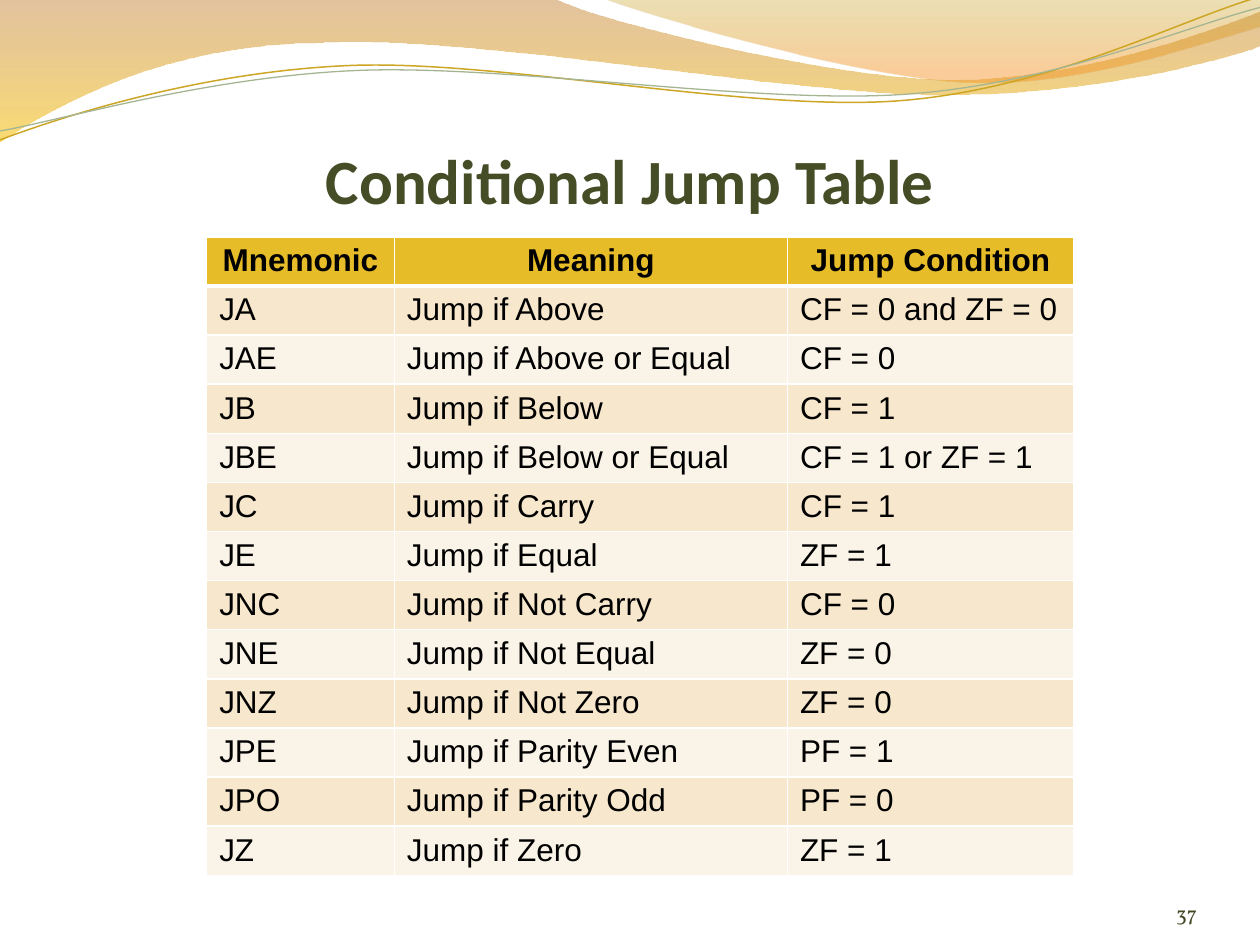
import math

from lxml import etree
from pptx import Presentation
from pptx.dml.color import RGBColor
from pptx.enum import text
from pptx.oxml import ns
from pptx.util import Inches, Pt

OLIVE = RGBColor(0x44, 0x4D, 0x26)
MOSS = RGBColor(0x41, 0x4A, 0x24)
BLACK = RGBColor(0, 0, 0)
GOLD = RGBColor(0xE7, 0xBC, 0x29)
SAND = RGBColor(0xF6, 0xE7, 0xCD)
CREAM = RGBColor(0xFA, 0xF3, 0xE8)
RUST = RGBColor(0xC0, 0x7A, 0x28)
AMBER = RGBColor(0xF7, 0xBF, 0x00)
OCHRE = RGBColor(0xC0, 0x97, 0x09)
ORANGE = RGBColor(0xF5, 0x93, 0x20)
BRASS = RGBColor(0xCC, 0xA6, 0x24)
SAGE = RGBColor(0xA5, 0xB5, 0x92)

ALIGN = text.PP_ALIGN
TILT = -2.7

# Each outline is a start point, then points (2 numbers) or Bezier curves (6).
BAND = [(0, -0.01), (4.4, -0.01), (4.76, 0.17, 6.64, 0.63, 7.58, 0.63),
        (8.53, 0.63, 9.58, 0.26, 10, 0.09), (10.01, 0.36),
        (9.83, 0.44, 8.7, 0.76, 7.46, 0.75),
        (6.22, 0.75, 3.82, 0.28, 2.57, 0.34),
        (1.29, 0.35, 0.46, 0.83, -0.01, 1.13), (0, -0.01)]
SWEEP = [(4.79, -0.01), (5.09, 0.11, 6.82, 0.62, 7.69, 0.65),
         (8.56, 0.69, 9.61, 0.32, 10, 0.21), (10, 0), (4.79, -0.01)]
UPPER = [(0, 1.11), (0.48, 0.93, 1.58, 0.57, 2.77, 0.52),
         (3.95, 0.47, 5.93, 0.89, 7.13, 0.8),
         (8.33, 0.71, 9.38, 0.15, 9.98, -0.02)]
LOWER = [(0, 1.04), (0.47, 0.96, 1.64, 0.61, 2.83, 0.56),
         (4.03, 0.51, 5.97, 0.83, 7.17, 0.75),
         (8.36, 0.67, 9.41, 0.21, 10, 0.06)]

HEAD = ("Mnemonic", "Meaning", "Jump Condition")
JUMPS = [
    ("JA", "Jump if Above", "CF = 0 and ZF = 0"),
    ("JAE", "Jump if Above or Equal", "CF = 0"),
    ("JB", "Jump if Below", "CF = 1"),
    ("JBE", "Jump if Below or Equal", "CF = 1 or ZF = 1"),
    ("JC", "Jump if Carry", "CF = 1"),
    ("JE", "Jump if Equal", "ZF = 1"),
    ("JNC", "Jump if Not Carry", "CF = 0"),
    ("JNE", "Jump if Not Equal", "ZF = 0"),
    ("JNZ", "Jump if Not Zero", "ZF = 0"),
    ("JPE", "Jump if Parity Even", "PF = 1"),
    ("JPO", "Jump if Parity Odd", "PF = 0"),
    ("JZ", "Jump if Zero", "ZF = 1"),
]


def write(frame, words, size, font, color, bold=False, align=ALIGN.LEFT):
    par = frame.paragraphs[0]
    par.alignment = align
    run = par.add_run()
    run.text = words
    run.font.size = Pt(size)
    run.font.name = font
    run.font.color.rgb = color
    run.font.bold = bold


def place(shape, box):
    shape.left, shape.top, shape.width, shape.height = map(Inches, box)


def inset(frame, top=0):
    frame.word_wrap = True
    frame.vertical_anchor = text.MSO_ANCHOR.BOTTOM
    frame.margin_left = frame.margin_right = frame.margin_bottom = 0
    frame.margin_top = Inches(top)


def turn(point, center, angle):
    cos, sin = math.cos(math.radians(angle)), math.sin(math.radians(angle))
    x, y = point[0] - center[0], point[1] - center[1]
    return center[0] + x * cos - y * sin, center[1] + x * sin + y * cos


def bend(shape, outline):
    """Join each three line segments that stand for a curve into one."""
    lines = iter(list(shape._element.iter(ns.qn("a:lnTo"))))
    for part in outline[1:]:
        first = next(lines)
        if len(part) == 6:
            first.tag = ns.qn("a:cubicBezTo")
            for _ in range(2):
                other = next(lines)
                first.append(other[0])
                other.getparent().remove(other)


def draw(slide, outline, close, center=(0, 0), angle=0):
    points = [part[i:i + 2] for part in outline
              for i in range(0, len(part), 2)]
    spots = [tuple(map(Inches, turn(p, center, angle))) for p in points]
    pen = slide.shapes.build_freeform(*spots[0])
    pen.add_line_segments(spots[1:], close=close)
    shape = pen.convert_to_shape()
    shape.shadow.inherit = False
    bend(shape, outline)
    return shape


def wave(slide, outline, stops):
    """Draw a filled wave; each stop is a position, colour and opacity."""
    shape = draw(slide, outline, True)
    shape.line.fill.background()
    shape.fill.gradient()
    shape.fill.gradient_angle = 270
    for stop, (spot, color, _) in zip(shape.fill.gradient_stops, stops):
        stop.position = spot
        stop.color.rgb = color
    marks = list(shape._element.spPr.iter(ns.qn("a:srgbClr")))
    for mark, (_, _, alpha) in zip(marks, stops):
        etree.SubElement(mark, ns.qn("a:alpha"), val=str(alpha * 1000))


def strand(slide, outline, center, color, width):
    shape = draw(slide, outline, False, center, -TILT)
    shape.rotation = TILT
    shape.fill.background()
    shape.line.color.rgb = color
    shape.line.width = Pt(width)


def waves(slide):
    wave(slide, BAND, [(0, RUST, 45), (1, AMBER, 55)])
    wave(slide, SWEEP, [(0, OCHRE, 30), (0.8, ORANGE, 45)])
    strand(slide, UPPER, (4.99, 0.58), BRASS, 0.85)
    strand(slide, LOWER, (5, 0.59), SAGE, 0.75)


def heading(slide, box, words):
    title = slide.shapes.title
    slide.shapes._spTree.append(title._element)  # in front of the waves
    place(title, box)
    inset(title.text_frame, top=0.05)
    write(title.text_frame, words, 36, "Calibri", OLIVE, True, ALIGN.CENTER)


def edge(cell, base):
    """Give a cell white borders, the bottom one base points wide."""
    props = cell._tc.get_or_add_tcPr()
    for spot, (side, width) in enumerate(zip("LRTB", (1, 1, 1, base))):
        line = etree.Element(ns.qn(f"a:ln{side}"), w=str(Pt(width)))
        fill = etree.SubElement(line, ns.qn("a:solidFill"))
        etree.SubElement(fill, ns.qn("a:srgbClr"), val="FFFFFF")
        props.insert(spot, line)


def grid(slide, box, widths, height):
    rows = [HEAD] + JUMPS
    holder = slide.shapes.add_table(len(rows), len(HEAD), *map(Inches, box))
    table = holder.table
    for col, width in zip(table.columns, widths):
        col.width = Inches(width)
    for r, row in enumerate(rows):
        table.rows[r].height = Inches(height)
        top = r == 0
        for c, words in enumerate(row):
            cell = table.cell(r, c)
            cell.fill.solid()
            cell.fill.fore_color.rgb = GOLD if top else SAND if r % 2 else CREAM
            edge(cell, 3 if top else 1)
            write(cell.text_frame, words, 18, "Arial", BLACK, top,
                  ALIGN.CENTER if top else ALIGN.LEFT)
    place(holder, box)


def number(slide, box, words):
    frame = slide.shapes.add_textbox(*map(Inches, box)).text_frame
    inset(frame)
    write(frame, words, 12, "Vollkorn", MOSS, align=ALIGN.RIGHT)


def main():
    deck = Presentation()
    deck.slide_width, deck.slide_height = Inches(10), Inches(7.5)
    slide = deck.slides.add_slide(deck.slide_layouts[5])
    waves(slide)
    heading(slide, (0.5, 0.77, 9, 0.95), "Conditional Jump Table")
    grid(slide, (1.64, 1.88, 6.88, 5.2), (1.49, 3.12, 2.27), 0.39)
    number(slide, (8.67, 6.95, 0.83, 0.4), "37")
    deck.save("out.pptx")


if __name__ == "__main__":
    main()
